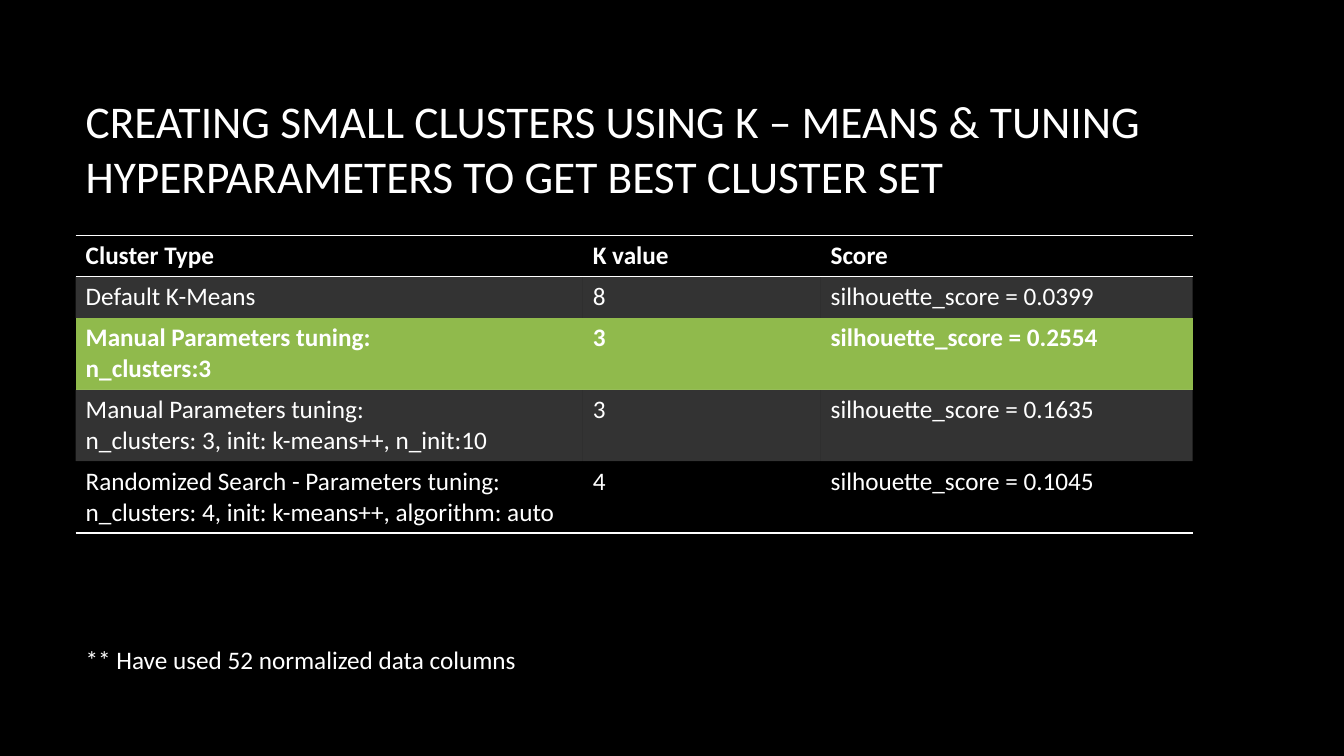
from dataclasses import dataclass
from typing import NamedTuple

from lxml.etree import SubElement as Sub
from pptx import Presentation
from pptx.dml.color import RGBColor as Color
from pptx.enum.text import MSO_ANCHOR as Anchor, MSO_AUTO_SIZE as Fit
from pptx.oxml import parse_xml
from pptx.oxml.ns import nsdecls, qn
from pptx.util import Inches, Pt


@dataclass(frozen=True)
class Theme:
    font: str = "Calibri"
    back: str = "000000"
    ink: str = "FFFFFF"
    best: str = "90BA4C"
    title: float = 32.4
    body: float = 18
    rule: float = 1
    tint: int = 20
    plain: str = "{2D5ABB26-0587-4C30-8999-92F81FD0307C}"


class Box(NamedTuple):
    left: float
    top: float
    width: float
    height: float


@dataclass(frozen=True)
class Label:
    text: str
    box: Box
    size: float
    anchor: Anchor
    fit: Fit


@dataclass(frozen=True)
class Row:
    cells: tuple[str, str, str]
    bold: bool = False
    fill: str = ""
    alpha: int = 100
    rules: tuple[str, ...] = ()


THEME = Theme()
WIDE, HIGH = Inches(13.33), Inches(7.5)
LEFT, SPAN = 5.63, 83.12
COLS = (37.73, 17.7, 27.69)
LINE, PAD = 4.07, 1.35
TOP = 31.2

LABELS = (
    Label(
        "CREATING SMALL CLUSTERS USING K – MEANS & TUNING "
        "HYPERPARAMETERS TO GET BEST CLUSTER SET",
        Box(LEFT, 8.93, SPAN, 21.2), THEME.title, Anchor.MIDDLE, Fit.NONE,
    ),
    Label(
        "** Have used 52 normalized data columns",
        Box(LEFT, 84.53, 57.16, 5.33), THEME.body, Anchor.TOP,
        Fit.SHAPE_TO_FIT_TEXT,
    ),
)

ROWS = (
    Row(("Cluster Type", "K value", "Score"), bold=True, rules=("lnT", "lnB")),
    Row(("Default K-Means", "8", "silhouette_score = 0.0399"),
        fill=THEME.ink, alpha=THEME.tint),
    Row(("Manual Parameters tuning:\nn_clusters:3", "3",
         "silhouette_score = 0.2554"), bold=True, fill=THEME.best),
    Row(("Manual Parameters tuning:\n"
         "n_clusters: 3, init: k-means++, n_init:10", "3",
         "silhouette_score = 0.1635"), fill=THEME.ink, alpha=THEME.tint),
    Row(("Randomized Search - Parameters tuning:\n"
         "n_clusters: 4, init: k-means++, algorithm: auto", "4",
         "silhouette_score = 0.1045"), rules=("lnB",)),
)


def across(share: float) -> int:
    return round(WIDE * share / 100)


def down(share: float) -> int:
    return round(HIGH * share / 100)


def place(box: Box) -> tuple[int, int, int, int]:
    return across(box.left), down(box.top), across(box.width), down(box.height)


def write(frame, text: str, size: float, bold: bool = False) -> None:
    frame.text = text
    for para in frame.paragraphs:
        font = para.font
        font.name, font.size, font.bold = THEME.font, Pt(size), bold
        font.color.rgb = Color.from_string(THEME.ink)


def draw_label(slide, label: Label) -> None:
    frame = slide.shapes.add_textbox(*place(label.box)).text_frame
    frame.word_wrap = True
    frame.auto_size = label.fit
    frame.vertical_anchor = label.anchor
    write(frame, label.text, label.size)


def draw_cell(cell, text: str, row: Row) -> None:
    write(cell.text_frame, text, THEME.body, row.bold)
    props = cell._tc.get_or_add_tcPr()
    if row.fill:
        cell.fill.solid()
        cell.fill.fore_color.rgb = Color.from_string(row.fill)
        if row.alpha < 100:
            tone = props.find(".//" + qn("a:srgbClr"))
            Sub(tone, qn("a:alpha"), val=str(row.alpha * 1000))
    else:
        cell.fill.background()
    for spot, side in enumerate(row.rules):
        props.insert(spot, parse_xml(
            f'<a:{side} {nsdecls("a")} w="{Pt(THEME.rule)}"><a:solidFill>'
            f'<a:srgbClr val="{THEME.ink}"/></a:solidFill></a:{side}>'
        ))


def draw_table(slide, rows: tuple[Row, ...]) -> None:
    highs = [PAD + LINE * (row.cells[0].count("\n") + 1) for row in rows]
    box = Box(LEFT, TOP, SPAN, sum(highs))
    table = slide.shapes.add_table(len(rows), len(COLS), *place(box)).table
    table.first_row = table.horz_banding = False
    table._tbl.tblPr.find(qn("a:tableStyleId")).text = THEME.plain
    for col, width in zip(table.columns, COLS):
        col.width = across(width)
    for line, row, high in zip(table.rows, rows, highs):
        line.height = down(high)
        for cell, text in zip(line.cells, row.cells):
            draw_cell(cell, text, row)


def main() -> None:
    deck = Presentation()
    deck.slide_width, deck.slide_height = WIDE, HIGH
    slide = deck.slides.add_slide(deck.slide_layouts[6])
    fill = slide.background.fill
    fill.solid()
    fill.fore_color.rgb = Color.from_string(THEME.back)
    title, note = LABELS
    draw_label(slide, title)
    draw_table(slide, ROWS)
    draw_label(slide, note)
    deck.save("out.pptx")


if __name__ == "__main__":
    main()
